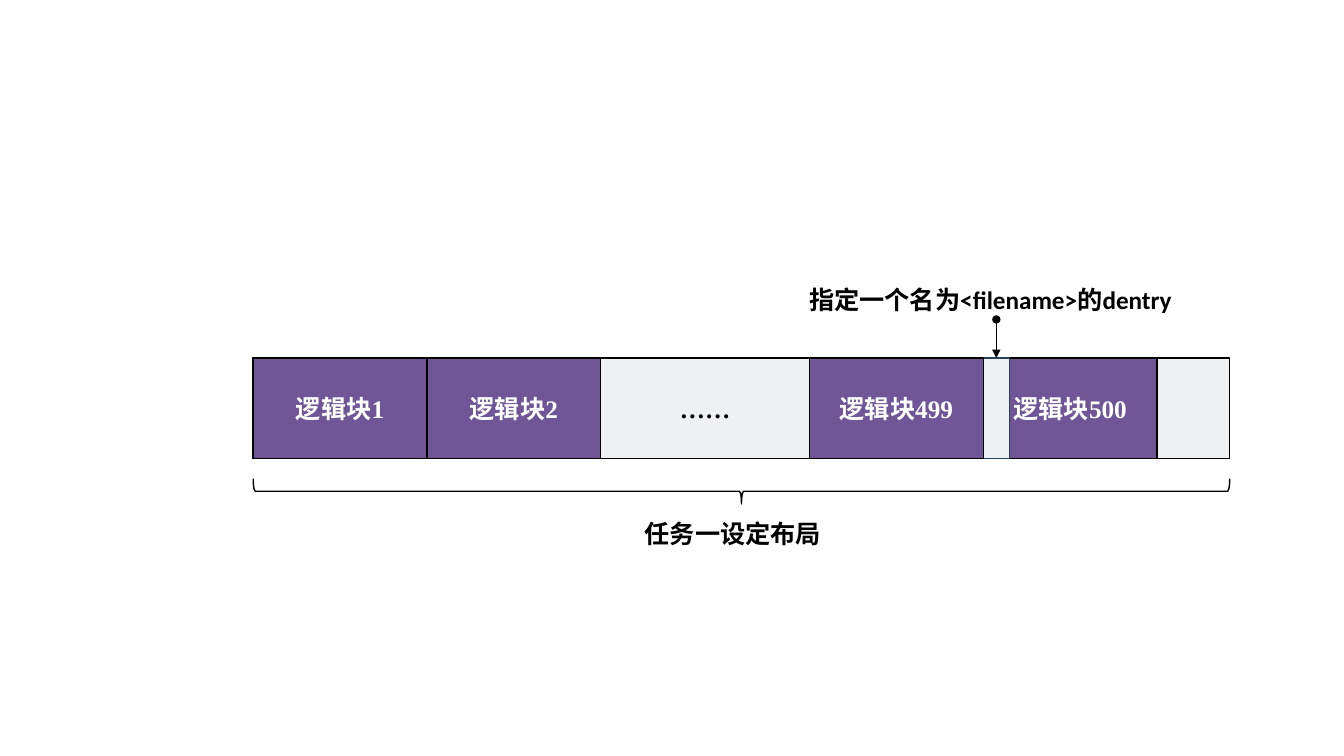
from pptx import Presentation
from pptx.dml.color import RGBColor
from pptx.enum.shapes import MSO_CONNECTOR, MSO_SHAPE
from pptx.enum.text import MSO_ANCHOR, PP_ALIGN
from pptx.oxml.ns import qn
from pptx.util import Cm, Pt
from lxml import etree

RECTANGLE = MSO_SHAPE.RECTANGLE
RIGHT_BRACE = MSO_SHAPE.RIGHT_BRACE
STRAIGHT = MSO_CONNECTOR.STRAIGHT
MIDDLE = MSO_ANCHOR.MIDDLE
CENTER = PP_ALIGN.CENTER
LEFT = PP_ALIGN.LEFT

BLACK = RGBColor(0x00, 0x00, 0x00)
WHITE = RGBColor(0xFF, 0xFF, 0xFF)
PURPLE = RGBColor(0x70, 0x56, 0x97)
PALE_GRAY = RGBColor(0xEF, 0xF0, 0xF1)
DARK_BLUE = RGBColor(0x28, 0x44, 0x5D)

BAR_LEFT, BAR_TOP = 6.38, 9.02
BAR_WIDTH, BAR_HEIGHT = 24.61, 2.54
BLOCK_WIDTH, GAP_WIDTH, DENTRY_WIDTH = 4.38, 5.26, 0.66
BRACE_TOP, BRACE_DEPTH = 12.06, 0.64
ARROW_TOP = 8.05


def write_text(shape, text, font="Times New Roman", color=BLACK, align=CENTER):
    paragraph = shape.text_frame.paragraphs[0]
    paragraph.alignment = align
    run = paragraph.add_run()
    run.text = text
    run.font.name = font
    run.font.size = Pt(18)
    run.font.bold = True
    run.font.color.rgb = color


def add_block(shapes, left, width, text="", fill=PURPLE, line=BLACK, color=WHITE):
    block = shapes.add_shape(RECTANGLE, Cm(left), Cm(BAR_TOP), Cm(width), Cm(BAR_HEIGHT))
    block.shadow.inherit = False
    block.fill.solid()
    block.fill.fore_color.rgb = fill
    block.line.color.rgb = line
    block.line.width = Pt(1)
    block.text_frame.vertical_anchor = MIDDLE
    if text:
        write_text(block, text, color=color)


def add_label(shapes, left, top, width, text):
    label = shapes.add_textbox(Cm(left), Cm(top), Cm(width), Cm(1.02))
    label.text_frame.word_wrap = True
    write_text(label, text, font="Calibri", align=LEFT)


def add_brace(shapes):
    left = BAR_LEFT + (BAR_WIDTH - BRACE_DEPTH) / 2
    top = BRACE_TOP + (BRACE_DEPTH - BAR_WIDTH) / 2
    brace = shapes.add_shape(RIGHT_BRACE, Cm(left), Cm(top), Cm(BRACE_DEPTH), Cm(BAR_WIDTH))
    brace.rotation = 90
    brace.shadow.inherit = False
    brace.fill.background()
    brace.line.color.rgb = BLACK
    brace.line.width = Pt(1)


def add_arrow(shapes, x, top, bottom):
    arrow = shapes.add_connector(STRAIGHT, Cm(x), Cm(top), Cm(x), Cm(bottom))
    arrow.line.color.rgb = BLACK
    arrow.line.width = Pt(1)
    line = arrow.line._get_or_add_ln()
    etree.SubElement(line, qn("a:headEnd"), type="oval")
    etree.SubElement(line, qn("a:tailEnd"), type="triangle")
    etree.SubElement(arrow._element.spPr, qn("a:effectLst"))


def main():
    presentation = Presentation()
    presentation.slide_width = Cm(33.87)
    presentation.slide_height = Cm(19.05)
    slide = presentation.slides.add_slide(presentation.slide_layouts[6])
    shapes = slide.shapes.add_group_shape().shapes

    gap_left = BAR_LEFT + 2 * BLOCK_WIDTH
    block_499_left = gap_left + GAP_WIDTH
    block_500_left = block_499_left + BLOCK_WIDTH

    add_block(shapes, BAR_LEFT, BAR_WIDTH, fill=PALE_GRAY)
    add_block(shapes, BAR_LEFT, BLOCK_WIDTH, "逻辑块1")
    add_block(shapes, BAR_LEFT + BLOCK_WIDTH, BLOCK_WIDTH, "逻辑块2")
    add_label(shapes, 16, 12.93, 5.05, "任务一设定布局")
    add_brace(shapes)
    add_block(shapes, gap_left, GAP_WIDTH, "……", fill=PALE_GRAY, color=BLACK)
    add_block(shapes, block_500_left, BLOCK_WIDTH, "逻辑块500")
    add_block(shapes, block_500_left, DENTRY_WIDTH, fill=PALE_GRAY, line=DARK_BLUE)
    add_block(shapes, block_499_left, BLOCK_WIDTH, "逻辑块499")
    add_arrow(shapes, block_500_left + DENTRY_WIDTH / 2, ARROW_TOP, BAR_TOP)
    add_label(shapes, 20.14, 7.04, 9.9, "指定一个名为<filename>的dentry")

    presentation.save("out.pptx")


if __name__ == "__main__":
    main()
